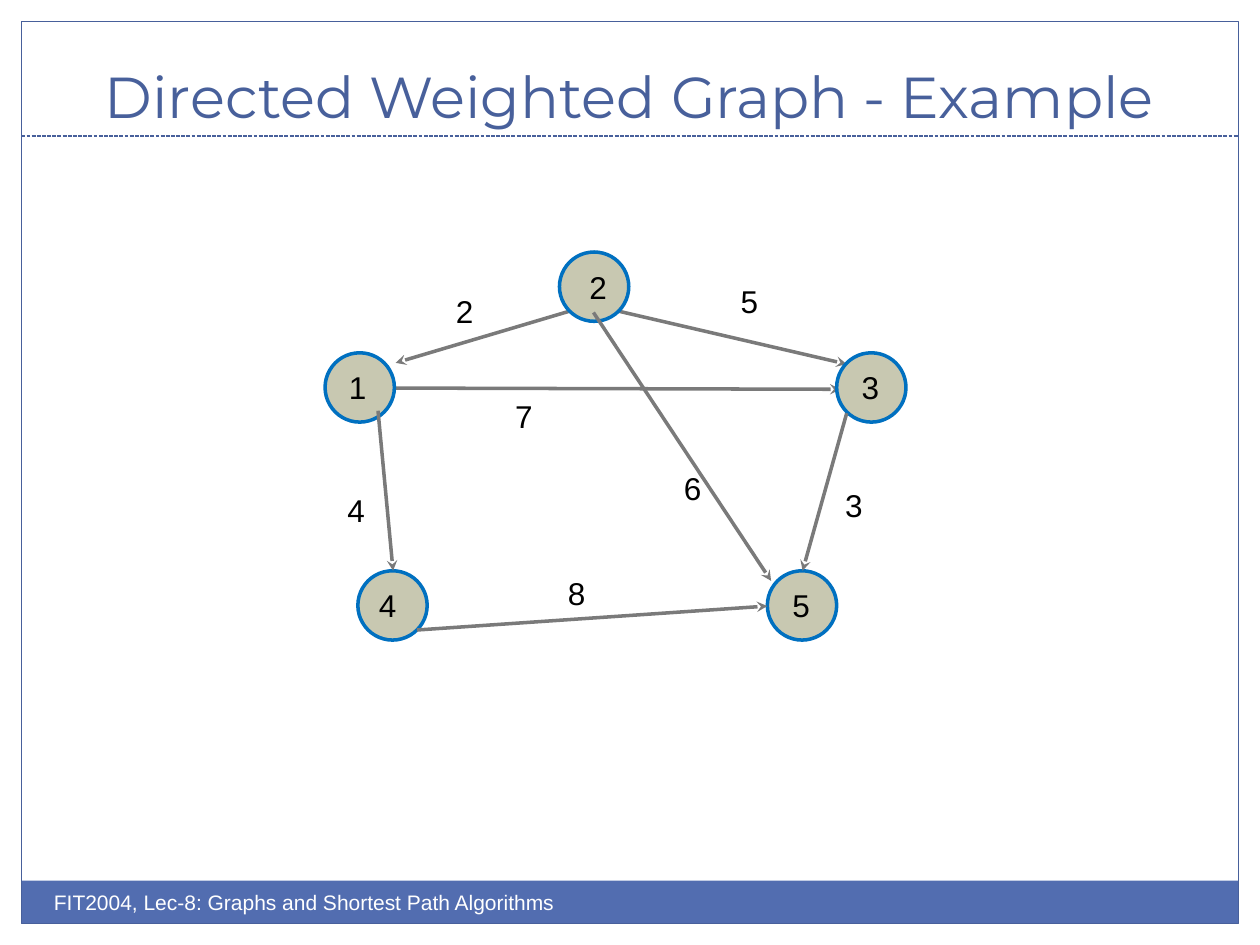
from dataclasses import dataclass

from lxml.etree import SubElement
from pptx import Presentation
from pptx.dml.color import RGBColor
from pptx.enum.dml import MSO_LINE
from pptx.enum.shapes import MSO_CONNECTOR, MSO_SHAPE
from pptx.enum.text import MSO_ANCHOR, MSO_AUTO_SIZE, PP_ALIGN
from pptx.oxml.ns import qn
from pptx.util import Inches, Pt


@dataclass(frozen=True)
class Theme:
    frame: str = "48609B"
    footer: str = "526DB0"
    footer_text: str = "FFFFFF"
    node_fill: str = "C8C8B1"
    node_line: str = "0070C0"
    edge: str = "7A7A7A"
    ink: str = "000000"
    heading_font: str = "Montserrat"
    body_font: str = "Arial"
    title_size: float = 33
    label_size: float = 18
    footer_size: float = 12
    thin: float = 0.75
    thick: float = 2


@dataclass(frozen=True)
class Box:
    left: float
    top: float
    width: float
    height: float

    def inches(self):
        return [Inches(n) for n in (self.left, self.top, self.width, self.height)]


THEME = Theme()
NODE_SIZE = 0.55
LABEL_WIDTH, LABEL_HEIGHT = 0.34, 0.4

# All graph positions are relative to the graph's box.
# Node: left, top, offset of its label from the left of the circle
NODES = {
    "2": (1.86, 0, 0.14),
    "1": (0, 0.8, 0.09),
    "3": (4.06, 0.8, 0.1),
    "4": (0.26, 2.53, 0.07),
    "5": (3.51, 2.53, 0.1),
}
# Edge: start, end
EDGES_BEHIND_NODES = [
    ((1.94, 0.47), (0.56, 0.88)),  # 2 to 1
    ((2.33, 0.47), (4.14, 0.89)),  # 2 to 3
    ((0.56, 1.08), (4.09, 1.09)),  # 1 to 3
]
EDGES_OVER_NODES = [
    ((0.42, 1.26), (0.54, 2.53)),  # 1 to 4
    ((0.73, 3), (3.51, 2.81)),     # 4 to 5
    ((4.14, 1.28), (3.79, 2.53)),  # 3 to 5
    ((2.13, 0.48), (3.54, 2.61)),  # 2 to 5
]
# Weight: text, left, top
WEIGHTS = [
    ("4", 0.08, 1.85),
    ("8", 1.83, 2.51),
    ("7", 1.41, 1.1),
    ("6", 2.75, 1.67),
    ("3", 4.03, 1.81),
    ("2", 0.94, 0.27),
    ("5", 3.2, 0.19),
]


def color(value):
    return RGBColor.from_string(value)


def add_text(shapes, box, text, font, size, ink, wrap=True):
    text_box = shapes.add_textbox(*box.inches())
    frame = text_box.text_frame
    frame.text = text
    frame.word_wrap = wrap
    for span in frame.paragraphs[0].runs:
        span.font.name = font
        span.font.size = Pt(size)
        span.font.color.rgb = color(ink)
    return frame


def add_shape(shapes, kind, box, fill=None, line=None, width=THEME.thin):
    shape = shapes.add_shape(kind, *box.inches())
    shape.shadow.inherit = False
    if fill:
        shape.fill.solid()
        shape.fill.fore_color.rgb = color(fill)
    else:
        shape.fill.background()
    if line:
        shape.line.color.rgb = color(line)
        shape.line.width = Pt(width)
    else:
        shape.line.fill.background()
    return shape


def add_line(shapes, box, start, end, ink, width):
    points = [Inches(n) for x, y in (start, end) for n in (box.left + x, box.top + y)]
    line = shapes.add_connector(MSO_CONNECTOR.STRAIGHT, *points)
    line.line.color.rgb = color(ink)
    line.line.width = Pt(width)
    SubElement(line._element.spPr, qn("a:effectLst"))
    return line


def add_frame(page, box):
    """Footer band, border and the dashed rule below the title."""
    band_height = 0.34
    band = Box(box.left, box.top + box.height - band_height, box.width, band_height)
    add_shape(page.shapes, MSO_SHAPE.RECTANGLE, band, fill=THEME.footer)
    add_shape(page.shapes, MSO_SHAPE.RECTANGLE, box, line=THEME.frame)
    rule = add_line(page.shapes, box, (0, 0.91), (box.width, 0.91), THEME.frame, THEME.thin)
    rule.line.dash_style = MSO_LINE.SQUARE_DOT


def add_title(page, box, text):
    frame = add_text(page.shapes, box, text, THEME.heading_font, THEME.title_size, THEME.frame)
    frame.vertical_anchor = MSO_ANCHOR.BOTTOM
    frame.paragraphs[0].alignment = PP_ALIGN.CENTER


def add_footer(page, box, text):
    add_text(page.shapes, box, text, THEME.body_font, THEME.footer_size, THEME.footer_text)


def add_label(shapes, left, top, text):
    box = Box(left, top, LABEL_WIDTH, LABEL_HEIGHT)
    frame = add_text(shapes, box, text, THEME.body_font, THEME.label_size, THEME.ink, wrap=False)
    frame.auto_size = MSO_AUTO_SIZE.SHAPE_TO_FIT_TEXT


def add_node(page, box, name, label_offset):
    group = page.shapes.add_group_shape()
    add_shape(group.shapes, MSO_SHAPE.OVAL, box, THEME.node_fill, THEME.node_line, THEME.thick)
    label_top = box.top + (box.height - LABEL_HEIGHT) / 2
    add_label(group.shapes, box.left + label_offset, label_top, name)


def add_edge(page, box, start, end):
    edge = add_line(page.shapes, box, start, end, THEME.edge, THEME.thick)
    SubElement(edge.line._get_or_add_ln(), qn("a:tailEnd"), type="stealth")


def add_graph(page, box):
    """Nodes, directed edges and edge weights."""
    for start, end in EDGES_BEHIND_NODES:
        add_edge(page, box, start, end)
    for name, (left, top, label_offset) in NODES.items():
        node_box = Box(box.left + left, box.top + top, NODE_SIZE, NODE_SIZE)
        add_node(page, node_box, name, label_offset)
    for start, end in EDGES_OVER_NODES:
        add_edge(page, box, start, end)
    for text, left, top in WEIGHTS:
        add_label(page.shapes, box.left + left, box.top + top, text)


def main():
    deck = Presentation()
    deck.slide_width, deck.slide_height = Inches(10), Inches(7.5)
    page = deck.slides.add_slide(deck.slide_layouts[6])

    add_frame(page, Box(0.17, 0.17, 9.66, 7.16))
    add_title(page, Box(0.33, 0.25, 9.33, 0.83), "Directed Weighted Graph - Example")
    add_footer(page, Box(0.33, 7.01, 5, 0.4), "FIT2004, Lec-8: Graphs and Shortest Path Algorithms")
    add_graph(page, Box(2.58, 2, 4.61, 3.08))

    deck.save("out.pptx")


if __name__ == "__main__":
    main()
